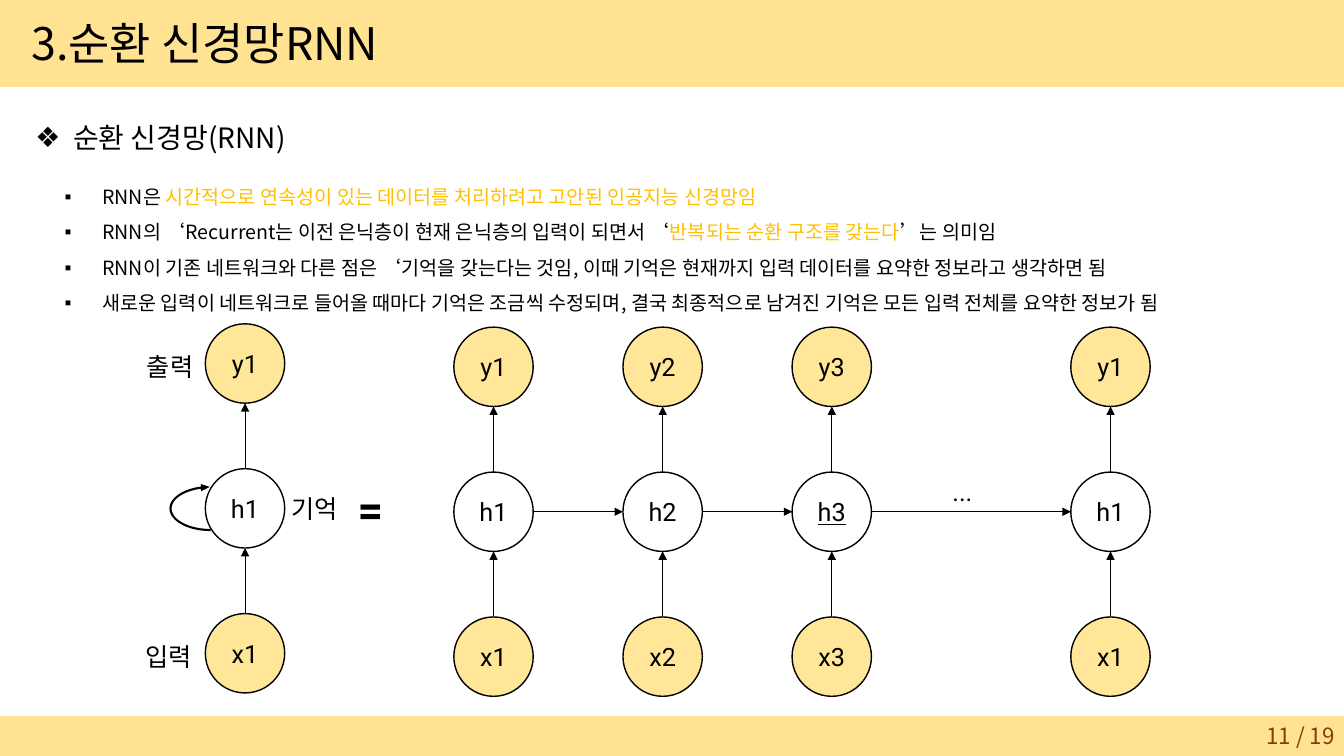
from lxml import etree
from pptx import Presentation
from pptx.dml.color import RGBColor
from pptx.enum import shapes as es, text as et
from pptx.oxml.ns import qn
from pptx.util import Pt

BLACK = RGBColor(0, 0, 0)
BAND = RGBColor(0xFF, 0xE2, 0x92)
NODE = RGBColor(0xFF, 0xE6, 0x99)
GOLD = RGBColor(0xFF, 0xC0, 0x00)
BROWN = RGBColor(0x84, 0x3C, 0x0B)
NOTO, ROBOTO = "Noto Sans CJK KR", "Roboto"


def add_run(para, words, size, font=NOTO, color=BLACK):
    run = para.add_run()
    run.text = words
    run.font.size = Pt(size)
    run.font.name = font
    run.font.color.rgb = color
    east = etree.Element(qn("a:ea"), typeface=NOTO)
    run.font._element.find(qn("a:latin")).addnext(east)
    return run


def add_arrow(home, x1, y1, x2, y2):
    line = home.add_connector(es.MSO_CONNECTOR.STRAIGHT, Pt(x1), Pt(y1), Pt(x2), Pt(y2))
    line.line.color.rgb = BLACK
    line.line.width = Pt(0.5)
    etree.SubElement(line.line._get_or_add_ln(), qn("a:tailEnd"), type="triangle")
    etree.SubElement(line.element.spPr, qn("a:effectLst"))


deck = Presentation()
deck.slide_width, deck.slide_height = Pt(960), Pt(540)
slide = deck.slides.add_slide(deck.slide_layouts[3])
parts = slide.shapes
title, head, body = slide.placeholders

# Bands behind the text
for top, high in ((0, 62), (511.3, 28.7)):
    band = parts.add_shape(es.MSO_SHAPE.RECTANGLE, 0, Pt(top), Pt(960), Pt(high))
    band.fill.solid()
    band.fill.fore_color.rgb = BAND
    band.line.fill.background()
    band.shadow.inherit = False
    band.element.getparent().insert(2, band.element)

# Title and lists
lists = [
    (title, (15.1, 7.9, 281, 46), 32, None, [[("3.순환 신경망RNN", BLACK)]]),
    (head, (18, 70.6, 205, 40), 20, "❖", [[("순환 신경망(RNN)", BLACK)]]),
    (body, (38.9, 120.2, 822, 106.6), 14, "▪", [
        [("RNN은 ", BLACK),
         ("시간적으로 연속성이 있는 데이터를 처리하려고 고안된 인공지능 신경망임", GOLD)],
        [("RNN의 ‘Recurrent는 이전 은닉층이 현재 은닉층의 입력이 되면서 ‘", BLACK),
         ("반복되는 순환 구조를 갖는다", GOLD), ("’는 의미임", BLACK)],
        [("RNN이 기존 네트워크와 다른 점은 ‘기억을 갖는다는 것임, "
          "이때 기억은 현재까지 입력 데이터를 요약한 정보라고 생각하면 됨", BLACK)],
        [("새로운 입력이 네트워크로 들어올 때마다 기억은 조금씩 수정되며, "
          "결국 최종적으로 남겨진 기억은 모든 입력 전체를 요약한 정보가 됨", BLACK)],
    ]),
]
for box, place, size, mark, rows in lists:
    box.left, box.top, box.width, box.height = map(Pt, place)
    frame = box.text_frame
    frame.word_wrap = False
    frame.auto_size = et.MSO_AUTO_SIZE.NONE
    frame.vertical_anchor = et.MSO_ANCHOR.TOP
    for i, row in enumerate(rows):
        para = frame.add_paragraph() if i else frame.paragraphs[0]
        para.alignment = et.PP_ALIGN.LEFT
        para.space_before = Pt(0)
        if mark:
            para.line_spacing = 1.5
            props = para._p.get_or_add_pPr()
            props.set("marL", str(Pt(27)))
            props.set("indent", str(Pt(-27)))
            etree.SubElement(props, qn("a:buChar"), char=mark)
        for words, color in row:
            add_run(para, words, size, color=color)

# Columns of nodes: output, memory, input
SIZE, STEP = 56.7, 103.5
cols = [(146.7, 231.3, "1"), (324.2, 233.7, "1"), (445, 233.7, "2"),
        (565.8, 233.7, "3"), (764.9, 233.7, "1")]
for left, top, num in cols:
    group = parts.add_group_shape().shapes
    for i, kind in enumerate("yhx"):
        y = top + i * STEP
        node = group.add_shape(es.MSO_SHAPE.OVAL, Pt(left), Pt(y), Pt(SIZE), Pt(SIZE))
        node.shadow.inherit = False
        node.line.color.rgb = BLACK
        node.line.width = Pt(1)
        if kind == "h":
            node.fill.background()
        else:
            node.fill.solid()
            node.fill.fore_color.rgb = NODE
        node.text_frame.vertical_anchor = et.MSO_ANCHOR.MIDDLE
        para = node.text_frame.paragraphs[0]
        para.alignment = et.PP_ALIGN.CENTER
        run = add_run(para, kind + num, 18, ROBOTO)
        if kind + num == "h3":
            run.font.underline = True
        if i:
            mid = left + SIZE / 2
            add_arrow(group, mid, y, mid, y - STEP + SIZE)

# Arrows along the unrolled memory
chain = cols[1:]
for a, b in zip(chain, chain[1:]):
    y = a[1] + STEP + SIZE / 2
    add_arrow(parts, a[0] + SIZE, y, b[0], y)

# Loop on the folded memory
loop = parts.add_shape(es.MSO_SHAPE.CIRCULAR_ARROW, Pt(132.5), Pt(331.9), Pt(36), Pt(62.6))
loop.rotation = 270
for i, val in enumerate((0.043, 13.578, 201.049, 108, 0.073)):
    loop.adjustments[i] = val
loop.fill.solid()
loop.fill.fore_color.rgb = BLACK
loop.line.fill.background()
loop.shadow.inherit = False

# Labels and page number
labels = [
    ("=", 248.4, 340.6, 25.2, 46, 32, ROBOTO, BLACK),
    ("입력", 96.5, 454.3, 49, 29, 18, ROBOTO, BLACK),
    ("출력", 97.9, 247.7, 49, 29, 18, ROBOTO, BLACK),
    ("기억", 200.9, 348.5, 49, 29, 18, ROBOTO, BLACK),
    ("...", 673.2, 337, 41.8, 29, 18, ROBOTO, BLACK),
    ("11 / 19", 744.4, 511.3, 216, 28.7, 16, NOTO, BROWN),
]
for words, left, top, wide, high, size, font, color in labels:
    box = parts.add_textbox(Pt(left), Pt(top), Pt(wide), Pt(high))
    frame = box.text_frame
    para = frame.paragraphs[0]
    run = add_run(para, words, size, font, color)
    if words == "=":
        run.font.bold = True
    if color == BROWN:
        frame.word_wrap = True
        frame.vertical_anchor = et.MSO_ANCHOR.MIDDLE
        para.alignment = et.PP_ALIGN.RIGHT

deck.save("out.pptx")
